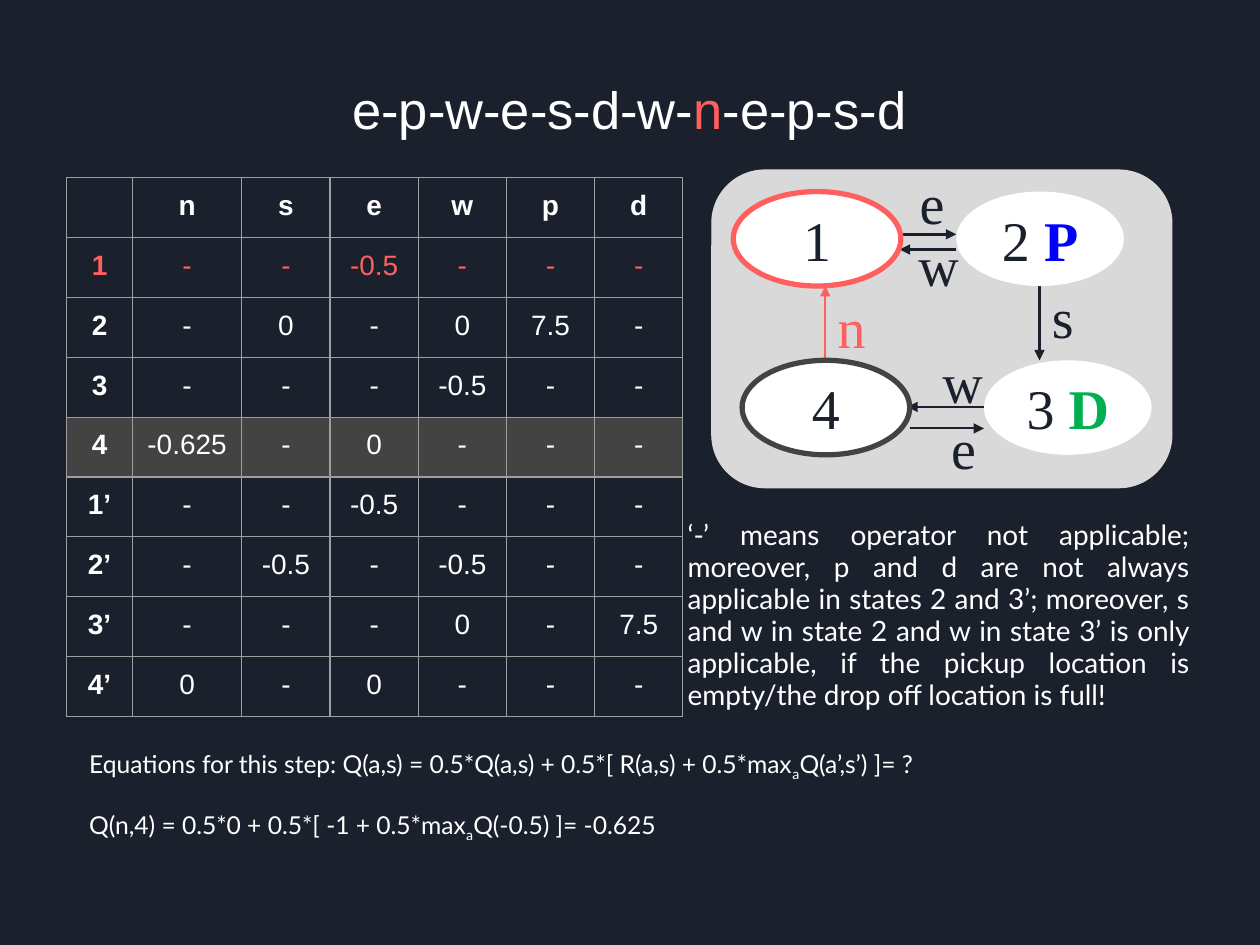
from dataclasses import dataclass

from lxml.etree import SubElement
from pptx import Presentation
from pptx.dml.color import RGBColor
from pptx.enum.shapes import MSO_CONNECTOR as Connector, MSO_SHAPE as Shape
from pptx.enum.text import MSO_ANCHOR as Anchor, PP_ALIGN as Align
from pptx.oxml.ns import qn
from pptx.util import Inches, Pt

COLUMNS, ROWS = 100, 75


@dataclass(frozen=True)
class Theme:
    night: str = "1B212C"
    white: str = "FFFFFF"
    coral: str = "FF5F5F"
    panel: str = "D9D9D9"
    charcoal: str = "434343"
    border: str = "9E9E9E"
    pickup: str = "0000FF"
    dropoff: str = "00B050"
    plain: str = "Arial"
    prose: str = "Lato"
    serif: str = "Times New Roman"
    title: float = 30
    body: float = 16
    equation: float = 14.1
    subscript: float = 14
    state: float = 32


@dataclass(frozen=True)
class Box:
    left: float
    top: float
    width: float
    height: float

    def inner(self, left, top, width, height):
        return Box(self.left + left, self.top + top, width, height)

    def lengths(self):
        return [cells(n) for n in (self.left, self.top, self.width, self.height)]


THEME = Theme()


def cells(count):
    return Inches(count / 10)


def apply_format(target, values):
    for name, value in values.items():
        setattr(target, name, value)


def add_spans(para, spans, face, size, color, **para_values):
    apply_format(para, para_values)
    for text, changes in spans:
        values = {"name": face, "size": size, "color": color, "bold": False} | changes
        span = para.add_run()
        span.text = text
        span.font.color.rgb = RGBColor.from_string(values.pop("color"))
        if values.pop("lowered", False):
            span._r.get_or_add_rPr().set("baseline", "-25000")
        apply_format(span.font, values | {"size": Pt(values["size"])})


def add_text(page, box):
    frame = page.shapes.add_textbox(*box.lengths()).text_frame
    frame.word_wrap = True
    return frame


def add_title(page, box):
    title = page.shapes.title
    apply_format(title, dict(zip(("left", "top", "width", "height"), box.lengths())))
    title.text_frame.vertical_anchor = Anchor.MIDDLE
    spans = [("e-p-w-e-s-d-w-", {}), ("n", {"color": THEME.coral}), ("-e-p-s-d", {})]
    add_spans(title.text_frame.paragraphs[0], spans, THEME.plain, THEME.title,
              THEME.white, alignment=Align.CENTER, line_spacing=1.15)


def add_borders(cell):
    properties = cell._tc.get_or_add_tcPr()
    for side in ("lnL", "lnR", "lnT", "lnB"):
        line = SubElement(properties, qn(f"a:{side}"), w=str(Pt(0.75)))
        fill = SubElement(line, qn("a:solidFill"))
        SubElement(fill, qn("a:srgbClr"), val=THEME.border)


def add_q_table(page, box):
    values = [
        ["", "n", "s", "e", "w", "p", "d"],
        ["1", "-", "-", "-0.5", "-", "-", "-"],
        ["2", "-", "0", "-", "0", "7.5", "-"],
        ["3", "-", "-", "-", "-0.5", "-", "-"],
        ["4", "-0.625", "-", "0", "-", "-", "-"],
        ["1’", "-", "-", "-0.5", "-", "-", "-"],
        ["2’", "-", "-0.5", "-", "-0.5", "-", "-"],
        ["3’", "-", "-", "-", "0", "-", "7.5"],
        ["4’", "0", "-", "0", "-", "-", "-"],
    ]
    widths = [5.2, 8.7] + [7] * 5
    table = page.shapes.add_table(len(values), len(widths), *box.lengths()).table
    apply_format(table, {"first_row": False, "horz_banding": False})
    for column, width in zip(table.columns, widths):
        column.width = cells(width)
    for row, texts in enumerate(values):
        table.rows[row].height = cells(box.height / len(values))
        for column, text in enumerate(texts):
            cell = table.cell(row, column)
            apply_format(cell, {"margin_left": cells(1), "margin_right": cells(1),
                                "margin_top": cells(1), "margin_bottom": cells(0.5)})
            add_borders(cell)
            if texts[0] == "4":
                cell.fill.solid()
                cell.fill.fore_color.rgb = RGBColor.from_string(THEME.charcoal)
            else:
                cell.fill.background()
            para = cell.text_frame.paragraphs[0]
            para.alignment = Align.CENTER
            if text:
                color = THEME.coral if texts[0] == "1" else THEME.white
                bold = row == 0 or column == 0
                add_spans(para, [(text, {"bold": bold})], THEME.plain, THEME.body, color)


def add_filled(page, kind, box, fill, outline=None, weight=0.75):
    shape = page.shapes.add_shape(kind, *box.lengths())
    shape.shadow.inherit = False
    shape.fill.solid()
    shape.fill.fore_color.rgb = RGBColor.from_string(fill)
    if outline:
        shape.line.color.rgb = RGBColor.from_string(outline)
        shape.line.width = Pt(weight)
    else:
        shape.line.fill.background()
    return shape


def add_arrow(page, box, start, end, color, weight):
    ends = [cells(n) for x, y in (start, end) for n in (box.left + x, box.top + y)]
    arrow = page.shapes.add_connector(Connector.STRAIGHT, *ends)
    arrow.line.color.rgb = RGBColor.from_string(color)
    arrow.line.width = Pt(weight)
    SubElement(arrow.line._get_or_add_ln(), qn("a:tailEnd"), type="triangle")
    SubElement(arrow._element.spPr, qn("a:effectLst"))


def add_state_graph(page, box):
    add_filled(page, Shape.ROUNDED_RECTANGLE, box, THEME.panel, THEME.panel)
    arrows = [
        ((14.9, 5.1), (19.4, 5.1), THEME.night, 1.75),
        ((19.4, 6.3), (14.9, 6.3), THEME.night, 1.25),
        ((26, 9.2), (26, 15.1), THEME.night, 1.25),
        ((22.9, 18.8), (15.5, 18.8), THEME.night, 1.25),
        ((15.7, 20.5), (21.6, 20.5), THEME.night, 1.25),
        ((9, 15.9), (9, 9.2), THEME.coral, 1.25),
    ]
    for arrow in arrows:
        add_arrow(page, box, *arrow)
    states = [
        (1.7, 1.7, [("1", {})], THEME.coral),
        (19.4, 1.7, [("2 ", {}), ("P", {"color": THEME.pickup, "bold": True})], None),
        (21.6, 15.1, [("3 ", {}), ("D", {"color": THEME.dropoff, "bold": True})], None),
        (2.4, 15.1, [("4", {})], THEME.charcoal),
    ]
    for left, top, spans, outline in states:
        state = add_filled(page, Shape.OVAL, box.inner(left, top, 13.3, 7.5),
                           THEME.white, outline, 3)
        state.text_frame.vertical_anchor = Anchor.MIDDLE
        add_spans(state.text_frame.paragraphs[0], spans, THEME.serif, THEME.state,
                  THEME.night, alignment=Align.CENTER)
    labels = [("e", 15.5, -0.6), ("w", 15.4, 4.3), ("s", 26, 8.4),
              ("w", 17.3, 13.6), ("e", 18, 18.8), ("n", 9, 9.2)]
    for text, left, top in labels:
        frame = add_text(page, box.inner(left, top, 3.5, 6.4))
        color = THEME.coral if text == "n" else THEME.night
        add_spans(frame.paragraphs[0], [(text, {})], THEME.serif, THEME.state, color)


def add_note(page, box):
    note = ("‘-’ means operator not applicable; moreover, p and d are not always "
            "applicable in states 2 and 3’; moreover, s and w in state 2 and w in "
            "state 3’ is only applicable, if the pickup location is empty/the drop "
            "off location is full!")
    add_spans(add_text(page, box).paragraphs[0], [(note, {})], THEME.prose, THEME.body,
              THEME.white, alignment=Align.JUSTIFY, line_spacing=0.95)


def add_equations(page, box):
    frame = add_text(page, box)
    subscript = ("a", {"size": THEME.subscript, "lowered": True})
    equations = [
        ("Equations for this step: Q(a,s) = 0.5*Q(a,s) + 0.5*[ R(a,s) + 0.5*max",
         "Q(a’,s’) ]= ?", 0),
        ("Q(n,4) = 0.5*0 + 0.5*[ -1 + 0.5*max", "Q(-0.5) ]= -0.625", 17),
    ]
    for index, (before, after, gap) in enumerate(equations):
        para = frame.add_paragraph() if index else frame.paragraphs[0]
        add_spans(para, [(before, {}), subscript, (after, {})], THEME.prose,
                  THEME.equation, THEME.white, alignment=Align.JUSTIFY,
                  line_spacing=0.95, space_before=Pt(gap))


def main():
    deck = Presentation()
    deck.slide_width, deck.slide_height = cells(COLUMNS), cells(ROWS)
    page = deck.slides.add_slide(deck.slide_layouts[5])
    page.background.fill.solid()
    page.background.fill.fore_color.rgb = RGBColor.from_string(THEME.night)
    add_title(page, Box(8.3, 2, 83.3, 12.5))
    add_note(page, Box(53.6, 40.8, 41.8, 16.6))
    add_q_table(page, Box(5.3, 14.1, 48.8, 42.8))
    add_state_graph(page, Box(56.5, 13.5, 36.5, 25.2))
    add_equations(page, Box(6.1, 58.9, 86.8, 12.5))
    deck.save("out.pptx")


if __name__ == "__main__":
    main()
